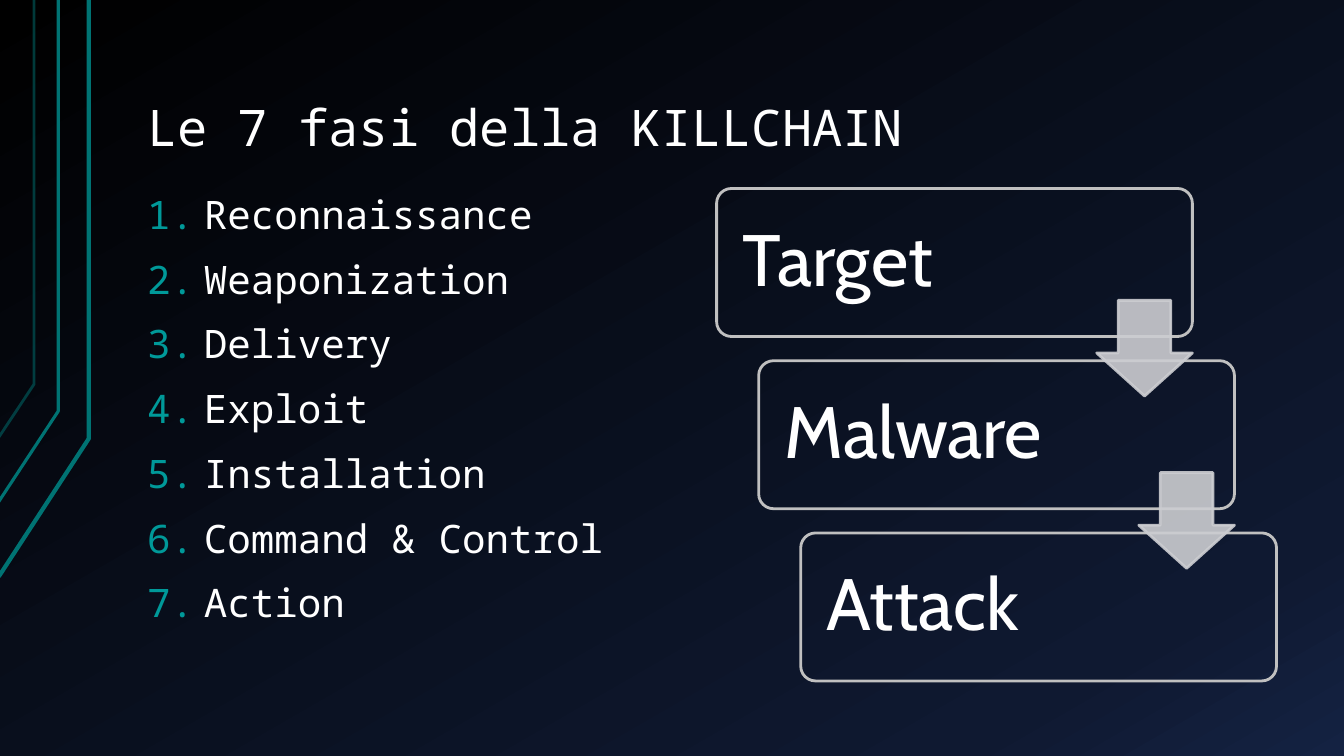
from copy import deepcopy

from lxml import etree
from pptx import Presentation
from pptx import util as u
from pptx.dml.color import RGBColor
from pptx.enum import shapes, text
from pptx.oxml.ns import qn

COLOURS = {
    "white": "FFFFFF", "number": "009999", "stripe": "007373",
    "outline": "C0C0C0", "arrow": "CCCDD1",
    "night": "000000", "navy": "0F1931", "blue": "142242",
}
FONTS = {"mono": "Noto Sans Mono", "stage": "Cabin"}
PHASES = ["Reconnaissance", "Weaponization", "Delivery", "Exploit",
          "Installation", "Command & Control", "Action"]
STAGES = ["Target", "Malware", "Attack"]
STRIPES = [
    ([(-0.03, 14.53), (2.24, 11.05), (2.24, 0)], 3, 100),
    ([(-0.05, 12.67), (1.47, 10.36), (1.47, 0)], 2.25, 100),
    ([(-0.03, 11.02), (0.86, 9.68), (0.86, 0)], 2, 50),
]


def rgb(name):
    return RGBColor.from_string(COLOURS[name])


def apply(target, values):
    for name, value in values.items():
        setattr(target, name, value)


class KillchainSlide:
    """Holds the style and the current slide, and draws each kind of element."""

    def __init__(self, deck):
        self.slide = deck.slides.add_slide(deck.slide_layouts[1])
        self.paragraph = {"line_spacing": 0.9, "alignment": text.PP_ALIGN.LEFT}

    def background(self, stops, angle):
        fill = self.slide.background.fill
        fill.gradient()
        fill.gradient_angle = angle
        stop_list = next(self.slide.element.iter(qn("a:gsLst")))
        while len(stop_list) < len(stops):
            stop_list.append(deepcopy(stop_list[-1]))
        for stop, (position, colour) in zip(fill.gradient_stops, stops):
            stop.color.rgb = rgb(colour)
            stop.position = position

    def place(self, shape, left, top, width, height):
        apply(shape, {"left": u.Cm(left), "top": u.Cm(top),
                      "width": u.Cm(width), "height": u.Cm(height)})

    def set_text(self, shape, lines, font, size, anchor, inset, **spacing):
        frame = shape.text_frame
        side, end = u.Cm(inset[0]), u.Cm(inset[1])
        apply(frame, {"text": "\n".join(lines), "word_wrap": True,
                      "auto_size": text.MSO_AUTO_SIZE.NONE,
                      "vertical_anchor": anchor,
                      "margin_left": side, "margin_right": side,
                      "margin_top": end, "margin_bottom": end})
        for paragraph in frame.paragraphs:
            apply(paragraph, {**self.paragraph, **spacing})
            for run in paragraph.runs:
                apply(run.font, {"name": FONTS[font], "size": u.Pt(size)})
                run.font.color.rgb = rgb("white")
        return frame

    def title(self, wording, box):
        heading = self.slide.shapes.title
        self.place(heading, *box)
        self.set_text(heading, [wording], "mono", 36,
                      text.MSO_ANCHOR.BOTTOM, (0.33, 0.18))

    def numbered_list(self, items, box):
        body = self.slide.placeholders[1]
        self.place(body, *box)
        frame = self.set_text(body, items, "mono", 28, text.MSO_ANCHOR.TOP,
                              (0.33, 0.18), space_before=u.Pt(16))
        for paragraph in frame.paragraphs:
            props = paragraph._p.get_or_add_pPr()
            for name, value in {"marL": 1.43, "indent": -1.43}.items():
                props.set(name, str(int(u.Cm(value))))
            colour = etree.SubElement(props, qn("a:buClr"))
            etree.SubElement(colour, qn("a:srgbClr"), val=COLOURS["number"])
            etree.SubElement(props, qn("a:buFont"), typeface=FONTS["mono"])
            etree.SubElement(props, qn("a:buAutoNum"), type="arabicPeriod")

    def paint(self, shape, line, width, fill=None, opacity=100):
        shape.shadow.inherit = False
        shape.line.color.rgb = rgb(line)
        shape.line.width = u.Pt(width)
        if fill:
            shape.fill.solid()
            shape.fill.fore_color.rgb = rgb(fill)
        else:
            shape.fill.background()
        if opacity < 100:
            for colour in shape.element.spPr.iter(qn("a:srgbClr")):
                etree.SubElement(colour, qn("a:alpha"), val=str(opacity * 1000))

    def stripe(self, points, width, opacity):
        start, *rest = [(u.Cm(x), u.Cm(y)) for x, y in points]
        builder = self.slide.shapes.build_freeform(*start)
        builder.add_line_segments(rest, close=False)
        self.paint(builder.convert_to_shape(), "stripe", width, opacity=opacity)

    def preset(self, kind, box, adjustments):
        shape = self.slide.shapes.add_shape(kind, *[u.Cm(v) for v in box])
        for index, value in enumerate(adjustments):
            shape.adjustments[index] = value
        return shape

    def stage(self, wording, box):
        card = self.preset(shapes.MSO_SHAPE.ROUNDED_RECTANGLE, box, [0.1])
        self.paint(card, "outline", 2)
        self.set_text(card, [wording], "stage", 52,
                      text.MSO_ANCHOR.MIDDLE, (0.55, 0.55))

    def arrow(self, box):
        step = self.preset(shapes.MSO_SHAPE.DOWN_ARROW, box, [0.55, 0.45])
        self.paint(step, "arrow", 2, fill="arrow", opacity=90)


def main():
    deck = Presentation()
    apply(deck, {"slide_width": u.Cm(33.87), "slide_height": u.Cm(19.05)})
    page = KillchainSlide(deck)
    page.background([(0, "night"), (0.85, "navy"), (1, "blue")], 300)
    for points, width, opacity in STRIPES:
        page.stripe(points, width, opacity)
    page.title("Le 7 fasi della KILLCHAIN", (3.38, 0.76, 28.78, 3.4))
    page.numbered_list(PHASES, (3.38, 4.75, 14.1, 12.4))

    left, top, step_x, step_y = 18.06, 4.75, 1.06, 4.34
    for index, wording in enumerate(STAGES):
        page.stage(wording, (left + index * step_x, top + index * step_y, 11.99, 3.73))
    for index in range(len(STAGES) - 1):
        page.arrow((left + 9.58 + index * step_x, top + 2.82 + index * step_y, 2.41, 2.41))
    deck.save("out.pptx")


if __name__ == "__main__":
    main()
